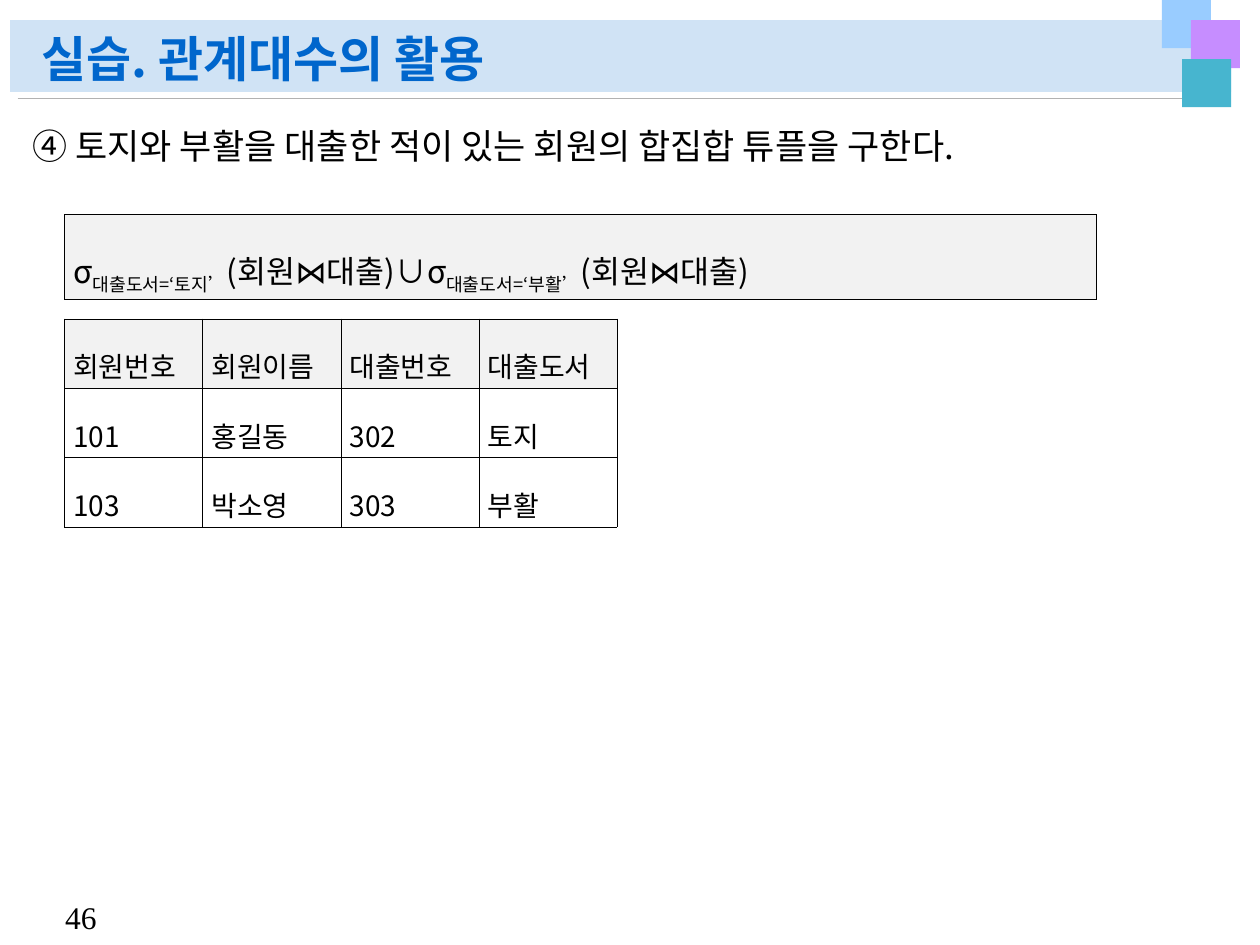
from lxml.etree import SubElement
from pptx import Presentation
from pptx.dml.color import RGBColor
from pptx.enum.shapes import MSO_CONNECTOR, MSO_SHAPE
from pptx.enum.text import MSO_ANCHOR, MSO_AUTO_SIZE, PP_ALIGN
from pptx.oxml.ns import qn
from pptx.util import Pt

KOREAN = "Noto Sans CJK KR"
FORMULA = [("σ", False), ("대출도서=‘토지’", True), ("(회원⋈대출)∪σ", False),
           ("대출도서=‘부활’", True), ("(회원⋈대출)", False)]
RESULT = [["회원번호", "회원이름", "대출번호", "대출도서"],
          ["101", "홍길동", "302", "토지"],
          ["103", "박소영", "303", "부활"]]


def rgb(value):
    return RGBColor.from_string(value)


def set_font(para, size, color="000000", name=KOREAN, bold=False):
    font = para.font
    font.size, font.bold, font.name = Pt(size), bold, name
    font.color.rgb = rgb(color)
    SubElement(font._element, qn("a:ea"), typeface=name)


def add_rect(page, left, top, width, height, color):
    rect = page.shapes.add_shape(MSO_SHAPE.RECTANGLE, Pt(left), Pt(top), Pt(width), Pt(height))
    rect.shadow.inherit = False
    rect.fill.solid()
    rect.fill.fore_color.rgb = rgb(color)
    rect.line.fill.background()


def add_header(page, left, top, width, height):
    """Draw the title band, the rule below it and the three corner squares."""
    add_rect(page, left, top, width, height, "D0E3F5")
    rule_y = Pt(top + height + 3.6)
    rule = page.shapes.add_connector(MSO_CONNECTOR.STRAIGHT, Pt(left + 4.3), rule_y,
                                     Pt(left + width - 2.2), rule_y)
    rule.line.color.rgb = rgb("B2B2B2")
    rule.line.width = Pt(0.5)
    SubElement(rule._element.spPr, qn("a:effectLst"))
    right = left + width
    for dx, dy, color in [(-39.5, -11.5, "99CCFF"), (-23, 0, "C68DFF"), (-28, 22.3, "47B5CF")]:
        add_rect(page, right + dx, top + dy, 28, 27.5, color)


def set_title(page, left, top, width, height, text):
    title = page.shapes.title
    title.left, title.top, title.width, title.height = map(Pt, (left, top, width, height))
    frame = title.text_frame
    frame.text = text
    frame.auto_size = MSO_AUTO_SIZE.NONE
    frame.vertical_anchor = MSO_ANCHOR.BOTTOM
    para = frame.paragraphs[0]
    para.alignment, para.line_spacing = PP_ALIGN.LEFT, 0.9
    set_font(para, 28, "0066CC", bold=True)


def add_text(page, left, top, width, height, text, size, name=KOREAN, wrap=True):
    box = page.shapes.add_textbox(Pt(left), Pt(top), Pt(width), Pt(height))
    box.text_frame.word_wrap = wrap
    para = box.text_frame.paragraphs[0]
    para.text = text
    set_font(para, size, name=name)
    return para


def add_borders(cell):
    props = cell._tc.get_or_add_tcPr()
    for index, side in enumerate(("lnL", "lnR", "lnT", "lnB")):
        line = props.makeelement(qn(f"a:{side}"), {"w": str(Pt(0.28))})
        fill = SubElement(line, qn("a:solidFill"))
        SubElement(fill, qn("a:srgbClr"), val="000000")
        props.insert(index, line)


def add_grid(page, left, top, width, row_height, rows, size):
    """Add a bordered table with a grey first row; each cell is a list of (text, is_subscript)."""
    count = len(rows[0])
    table = page.shapes.add_table(len(rows), count, Pt(left), Pt(top), Pt(width),
                                  Pt(row_height * len(rows))).table
    table.horz_banding = table.first_row = False
    for row_index, row in enumerate(rows):
        for column, spans in enumerate(row):
            cell = table.cell(row_index, column)
            cell.margin_left = cell.margin_right = Pt(5.1)
            cell.margin_top = cell.margin_bottom = Pt(1.4)
            cell.vertical_anchor = MSO_ANCHOR.MIDDLE
            if row_index == 0:
                cell.fill.solid()
                cell.fill.fore_color.rgb = rgb("F2F2F2")
            else:
                cell.fill.background()
            add_borders(cell)
            para = cell.text_frame.paragraphs[0]
            para.alignment, para.line_spacing = PP_ALIGN.JUSTIFY, 1.6
            set_font(para, size)
            for text, is_subscript in spans:
                span = para.add_run()
                span.text = text
                if is_subscript:
                    span.font._element.set("baseline", "-25000")


def main():
    deck = Presentation()
    deck.slide_width, deck.slide_height = Pt(720), Pt(540)
    page = deck.slides.add_slide(deck.slide_layouts[5])
    add_header(page, 5.8, 11.5, 697.7, 41)
    # The title placeholder comes first, so raise it above the band.
    page.shapes._spTree.append(page.shapes.title._element)
    set_title(page, 16.6, 12.2, 646.6, 41.8, "실습. 관계대수의 활용")
    question = add_text(page, 11.5, 67.7, 692, 433.4,
                        "④ 토지와 부활을 대출한 적이 있는 회원의 합집합 튜플을 구한다.", 20)
    question.space_before = Pt(4)
    add_grid(page, 36.8, 122.4, 589.7, 48.7, [[FORMULA]], 18)
    add_grid(page, 36.8, 182.2, 316, 39.6,
             [[[(text, False)] for text in row] for row in RESULT], 16)
    add_text(page, 30.2, 509.8, 36, 28.8, "46", 18, "Times New Roman", wrap=False)
    deck.save("out.pptx")


if __name__ == "__main__":
    main()
